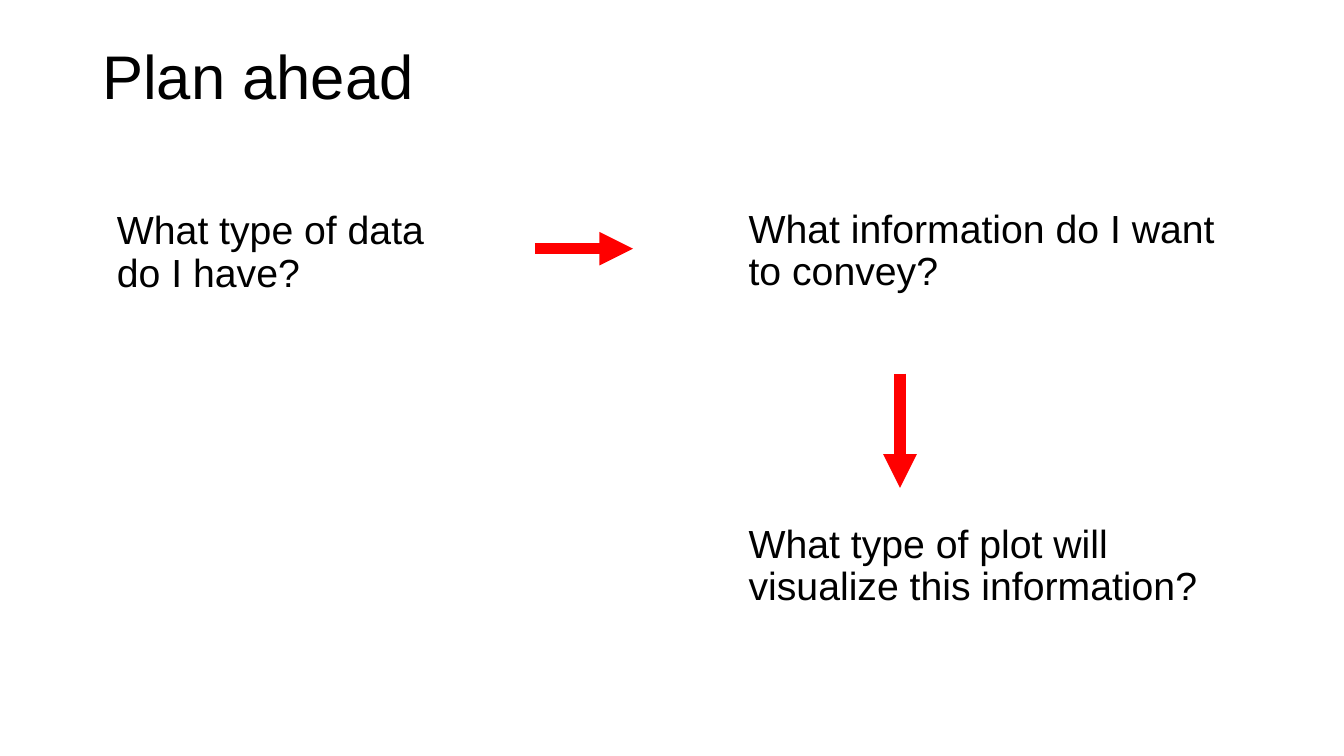
from lxml.etree import SubElement
from pptx import Presentation
from pptx.dml.color import RGBColor
from pptx.enum.shapes import MSO_CONNECTOR
from pptx.enum.text import MSO_ANCHOR
from pptx.oxml.ns import qn
from pptx.util import Inches, Pt

FONT = "Arial"
BLACK = "000000"
RED = "FF0000"


def colour(hex_code):
    return RGBColor.from_string(hex_code)


def add_text(slide, text, box, size, anchor=MSO_ANCHOR.TOP,
             inset_y=0.07, indent=0, space_before=0):
    frame = slide.shapes.add_textbox(*map(Inches, box)).text_frame
    frame.word_wrap = True
    frame.vertical_anchor = anchor
    frame.margin_left = frame.margin_right = Inches(0.07)
    frame.margin_top = frame.margin_bottom = Inches(inset_y)
    paragraph = frame.paragraphs[0]
    paragraph.line_spacing = 0.9
    paragraph.space_before = Pt(space_before)
    if indent:
        properties = paragraph._p.get_or_add_pPr()
        properties.set("marL", str(Inches(indent)))
        properties.set("indent", "0")
    run = paragraph.add_run()
    run.text = text
    run.font.name = FONT
    run.font.size = Pt(size)
    run.font.color.rgb = colour(BLACK)


def add_arrow(slide, start, end):
    arrow = slide.shapes.add_connector(
        MSO_CONNECTOR.STRAIGHT, *map(Inches, start + end))
    arrow.line.color.rgb = colour(RED)
    arrow.line.width = Pt(6)
    SubElement(arrow.line._get_or_add_ln(), qn("a:tailEnd"), type="triangle")
    SubElement(arrow._element.spPr, qn("a:effectLst"))


def add_title(slide, box):
    add_text(slide, "Plan ahead", box, 33,
             anchor=MSO_ANCHOR.MIDDLE, inset_y=0.04)


def add_question_flow(slide, box):
    left, top, width, height = box
    plan_width, question_height = 3.92, 1.09
    plan_left = left + width - plan_width

    # Questions: data, then information, then plot
    questions = [
        ("What type of data do I have?",
         (left, top + 0.01, 2.61, 0.95)),
        ("What information do I want to convey?",
         (plan_left, top, plan_width, question_height)),
        ("What type of plot will visualize this information?",
         (plan_left, top + height - question_height,
          plan_width, question_height)),
    ]
    for question, question_box in questions:
        add_text(slide, question, question_box, 21,
                 indent=0.11, space_before=8)

    # Arrows between the questions
    across_y = top + 0.36
    down_x = plan_left + plan_width / 3
    add_arrow(slide, (left + 3.29, across_y), (left + 4.02, across_y))
    add_arrow(slide, (down_x, top + 1.29), (down_x, top + 2.14))


def main():
    presentation = Presentation()
    # Widescreen, 16:9
    presentation.slide_width = Inches(10)
    presentation.slide_height = presentation.slide_width * 9 // 16
    slide = presentation.slides.add_slide(presentation.slide_layouts[6])
    add_title(slide, (0.69, 0.05, 8.62, 1.09))
    add_question_flow(slide, (0.69, 1.49, 8.62, 3.43))
    presentation.save("out.pptx")


if __name__ == "__main__":
    main()
